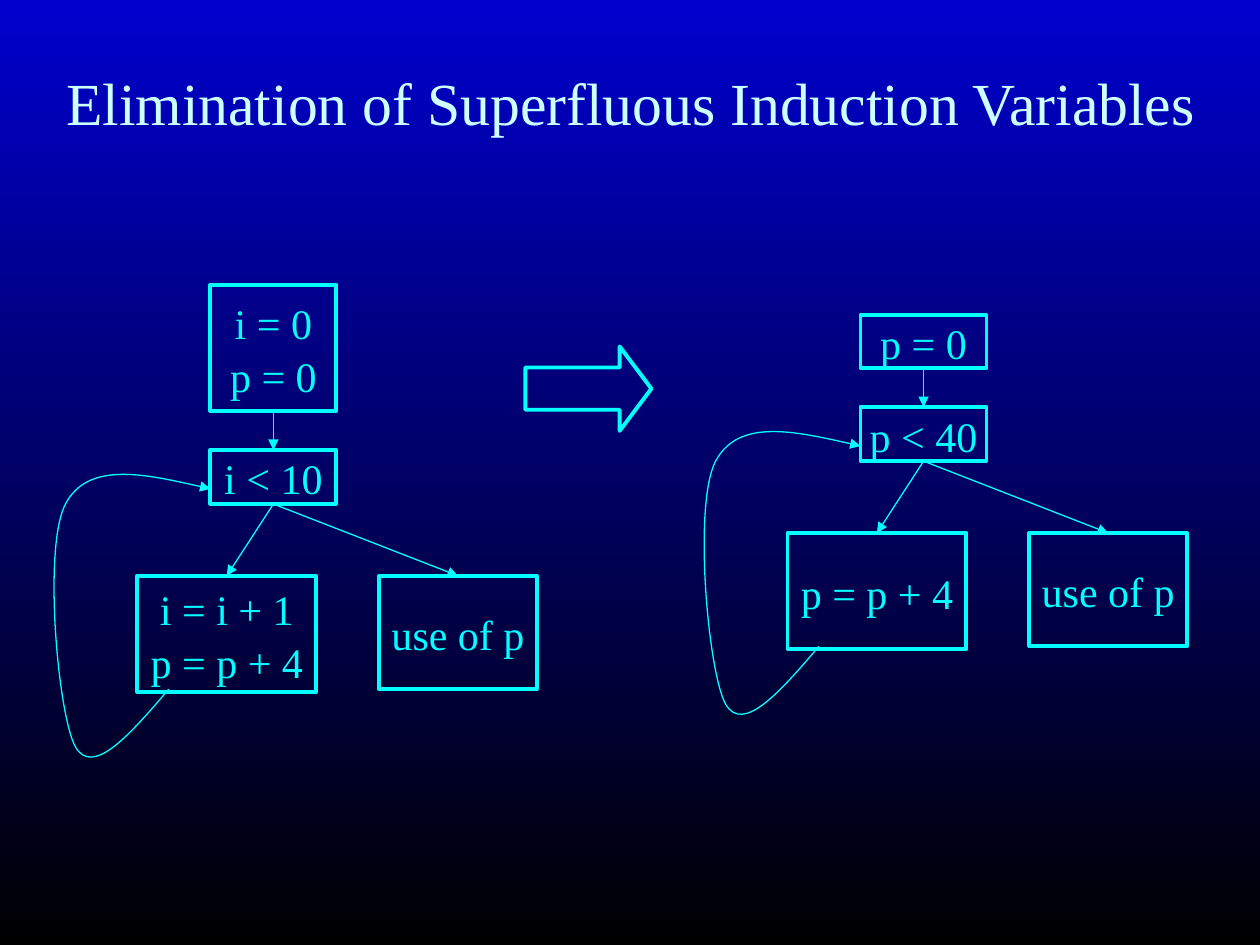
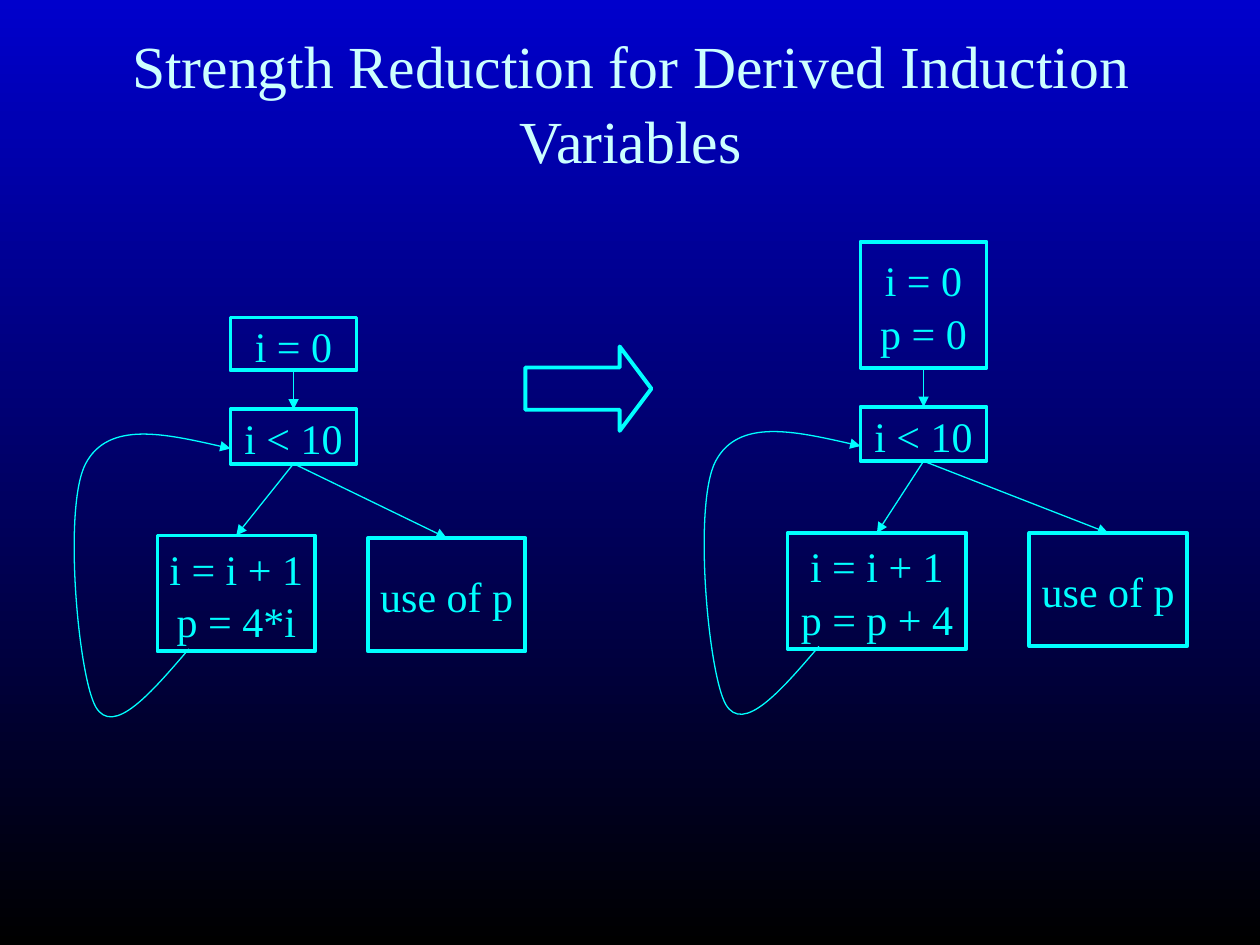
from dataclasses import dataclass

from lxml import etree
from pptx import Presentation
from pptx.dml.color import RGBColor
from pptx.enum import shapes, text
from pptx.oxml import ns
from pptx.util import Inches, Pt


@dataclass(frozen=True)
class Theme:
    font: str = "Times New Roman"
    title_color: RGBColor = RGBColor(0xCC, 0xFF, 0xFF)
    ink: RGBColor = RGBColor(0x00, 0xFF, 0xFF)
    sky: RGBColor = RGBColor(0x00, 0x00, 0xCC)
    ground: RGBColor = RGBColor(0x00, 0x00, 0x00)
    title_size: float = 34.1
    code_size: float = 24
    box_line: float = 2.25
    arrow_line: float = 0.75
    spacing: float = 1.05


LOOP_CURVE = [
    (-0.33, 1.9),
    (-0.63, 2.25), (-0.93, 2.6), (-1.07, 2.36),
    (-1.21, 2.11), (-1.33, 0.77), (-1.15, 0.43),
    (-0.97, 0.09), (-0.48, 0.2), (0, 0.31),
]


class Deck:
    def __init__(self, theme):
        self.theme = theme
        self.prs = Presentation()
        self.prs.slide_width, self.prs.slide_height = Inches(10), Inches(7.5)
        fill = self.prs.slide_master.background.fill
        fill.gradient()
        fill.gradient_angle = 270
        for stop, color, position in zip(fill.gradient_stops, (theme.sky, theme.ground), (0, 1)):
            stop.color.rgb = color
            stop.position = position

    def new_slide(self, title):
        self.s = self.prs.slides.add_slide(self.prs.slide_layouts[6])
        sp = self.s.shapes.add_textbox(Inches(0.42), Inches(0.17), Inches(9.17), Inches(1.25))
        self.set_text(sp, title, self.theme.title_size, self.theme.title_color, True)

    def set_text(self, sp, content, size, color, wrap):
        tf = sp.text_frame
        tf.text = content
        tf.word_wrap = wrap
        tf.vertical_anchor = text.MSO_ANCHOR.MIDDLE
        for p in tf.paragraphs:
            p.alignment = text.PP_ALIGN.CENTER
            p.line_spacing = self.theme.spacing
            for r in p.runs:
                r.font.name = self.theme.font
                r.font.size = Pt(size)
                r.font.color.rgb = color

    def outline(self, sp, width):
        sp.line.color.rgb = self.theme.ink
        sp.line.width = Pt(width)

    def arrowhead(self, sp):
        ln = sp._element.spPr.find(ns.qn("a:ln"))
        etree.SubElement(ln, ns.qn("a:tailEnd"), type="triangle")

    def shape(self, kind, x, y, w, h):
        sp = self.s.shapes.add_shape(kind, Inches(x), Inches(y), Inches(w), Inches(h))
        sp.shadow.inherit = False
        sp.fill.background()
        self.outline(sp, self.theme.box_line)
        return sp

    def box(self, code, x, y, w, h):
        sp = self.shape(shapes.MSO_SHAPE.RECTANGLE, x, y, w, h)
        self.set_text(sp, code, self.theme.code_size, self.theme.ink, False)
        return sp

    def block_arrow(self):
        sp = self.shape(shapes.MSO_SHAPE.RIGHT_ARROW, 4.17, 2.75, 1, 0.67)
        sp.adjustments[0], sp.adjustments[1] = 0.5, 0.375

    def link(self, upper, lower):
        cx = self.s.shapes.add_connector(shapes.MSO_CONNECTOR.STRAIGHT, 0, 0, 0, 0)
        cx.begin_connect(upper, 2)
        cx.end_connect(lower, 0)
        self.outline(cx, self.theme.arrow_line)
        self.arrowhead(cx)
        etree.SubElement(cx._element.spPr, ns.qn("a:effectLst"))

    def curve(self, points):
        start, *rest = [(Inches(x), Inches(y)) for x, y in points]
        builder = self.s.shapes.build_freeform(*start)
        builder.add_line_segments(rest, close=False)
        sp = builder.convert_to_shape()
        lines = sp._element.findall(".//" + ns.qn("a:lnTo"))
        for i in range(0, len(lines), 3):
            bezier = etree.Element(ns.qn("a:cubicBezTo"))
            lines[i].addprevious(bezier)
            for line in lines[i:i + 3]:
                bezier.append(line[0])
                line.getparent().remove(line)
        sp.shadow.inherit = False
        sp.fill.background()
        self.outline(sp, self.theme.arrow_line)
        self.arrowhead(sp)

    def loop(self, x, y, init, test, body, init_h=0.42, body_w=1.42, use_dx=1.34, use_dy=1):
        init_box = self.box(init, x, y - 0.31 - init_h, 1, init_h)
        test_box = self.box(test, x, y, 1, 0.43)
        body_box = self.box(body, x - 0.58, y + 1, body_w, 0.92)
        use_box = self.box("use of p", x + use_dx, y + use_dy, 1.25, 0.9)
        self.link(init_box, test_box)
        self.link(test_box, body_box)
        self.link(test_box, use_box)
        self.curve([(x + dx, y + dy) for dx, dy in LOOP_CURVE])


def main():
    deck = Deck(Theme())
    both_init, both_step = "i = 0\np = 0", "i = i + 1\np = p + 4"

    deck.new_slide("Elimination of Superfluous Induction Variables")
    deck.loop(1.67, 3.57, both_init, "i < 10", both_step, init_h=1)
    deck.block_arrow()
    deck.loop(6.83, 3.23, "p = 0", "p < 40", "p = p + 4")

    deck.new_slide("Strength Reduction for Derived Induction Variables")
    deck.loop(1.83, 3.25, "i = 0", "i < 10", "i = i + 1\np = 4*i",
              body_w=1.25, use_dx=1.09, use_dy=1.02)
    deck.block_arrow()
    deck.loop(6.83, 3.23, both_init, "i < 10", both_step, init_h=1)

    deck.prs.save("out.pptx")


if __name__ == "__main__":
    main()
